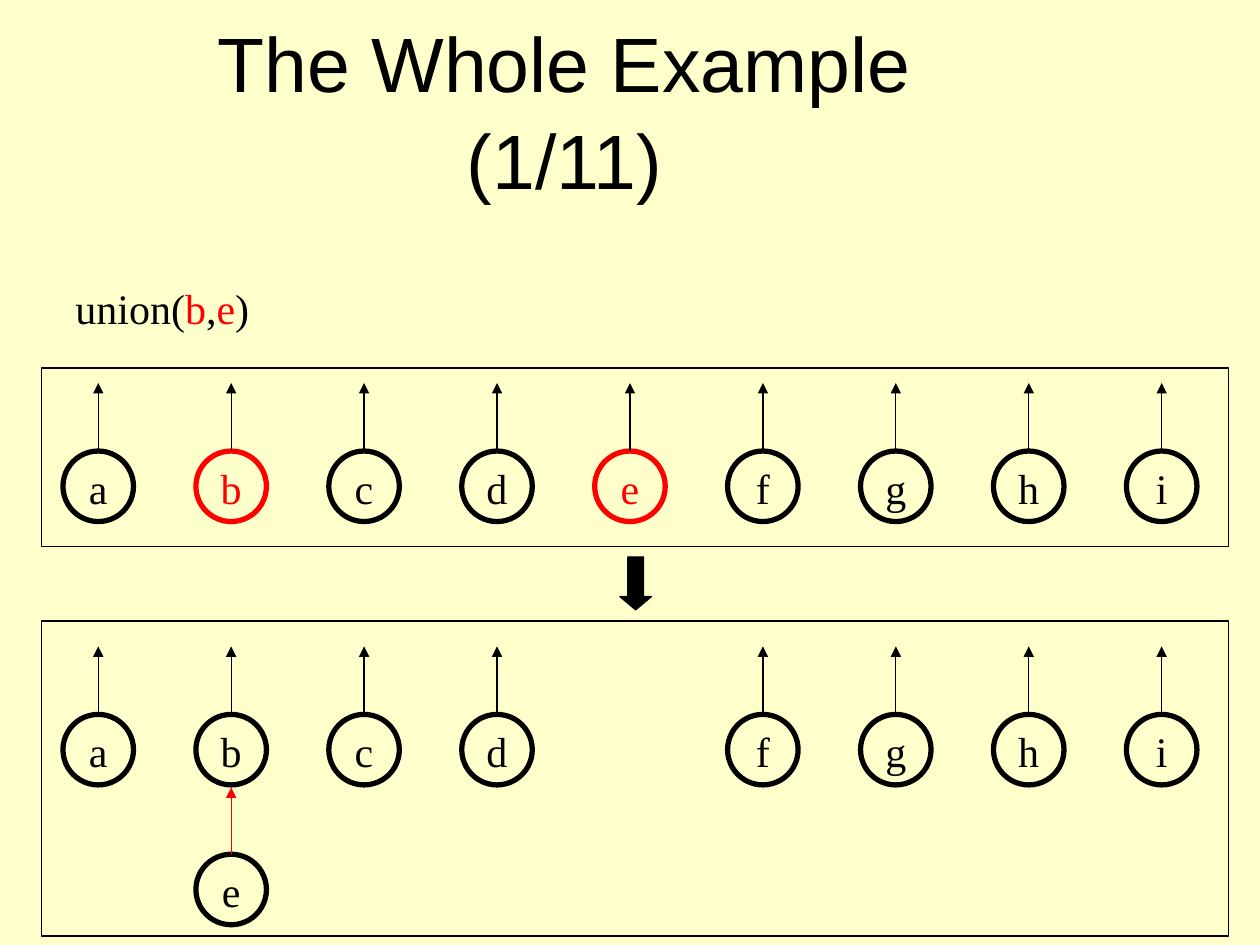
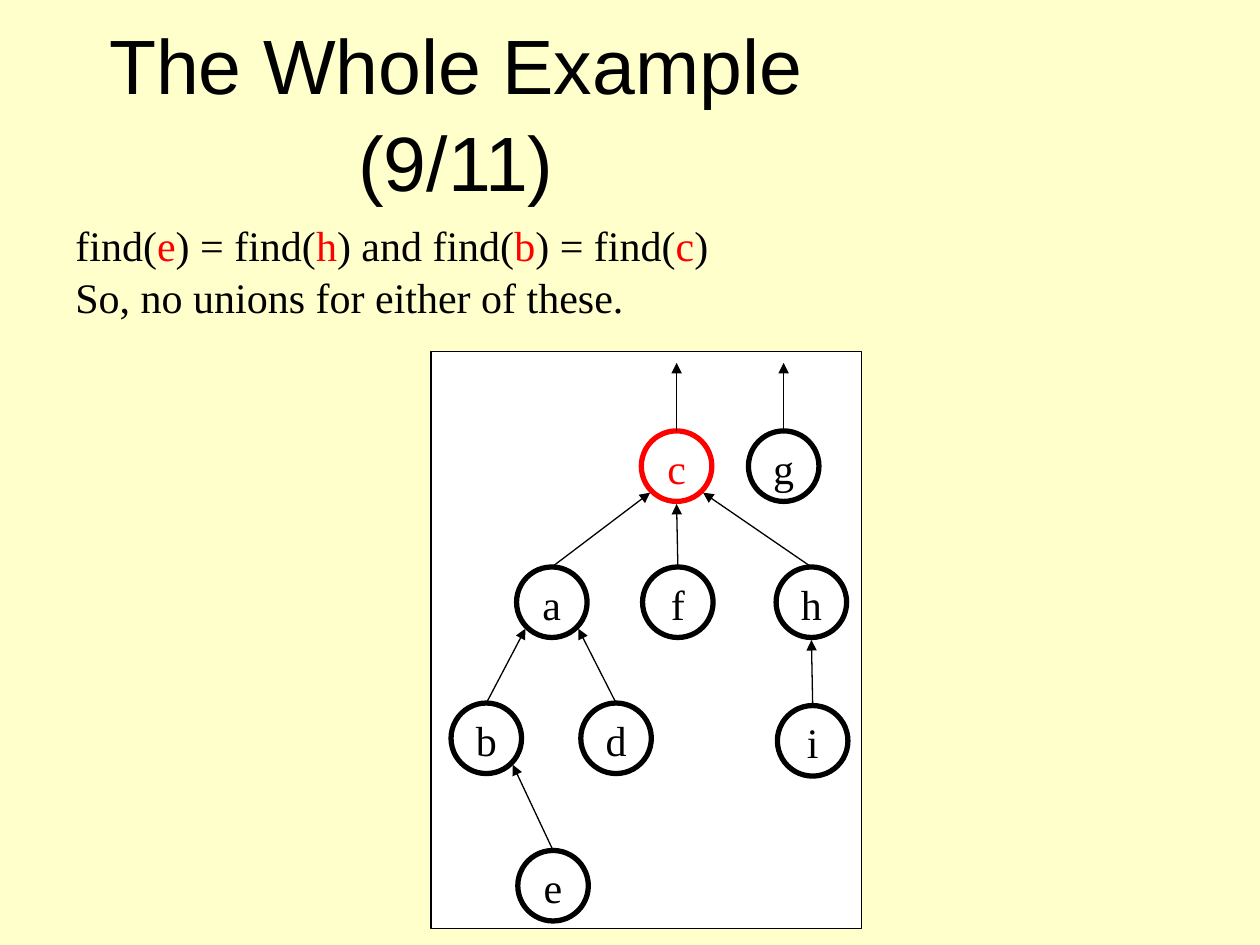
"""Build two slides that follow union and find on a forest of sets."""
from lxml import etree
from pptx import Presentation
from pptx import util as u
from pptx.dml import color
from pptx.enum import shapes, text
from pptx.oxml import ns

BLACK, RED, WHITE, CREAM = "000000", "FF0000", "FFFFFF", "FFFFCC"
TITLE_FONT, BODY_FONT = "Arial", "Times New Roman"
NODE_SIZE = 0.56
NODE_REACH = 0.3
DIAGONAL_REACH = 0.21
ROOT_ARROW_REACH = 0.82
REACH = {
    "bottom": (0, NODE_REACH),
    "bottom left": (-DIAGONAL_REACH, DIAGONAL_REACH),
    "bottom right": (DIAGONAL_REACH, DIAGONAL_REACH),
}


def rgb(value):
    """Turn a hex string into a colour."""
    return color.RGBColor.from_string(value)


def set_text(shape, content, size=24, font=BODY_FONT, ink=BLACK,
             align=text.PP_ALIGN.LEFT, anchor=text.MSO_ANCHOR.TOP, wrap=False):
    """Write lines of text, colouring the parts between bars red."""
    frame = shape.text_frame
    frame.word_wrap = wrap
    frame.vertical_anchor = anchor
    for index, line in enumerate(content.split("\n")):
        paragraph = frame.paragraphs[0] if index == 0 else frame.add_paragraph()
        paragraph.alignment = align
        paragraph.line_spacing = 1.05
        for part_index, part in enumerate(line.split("|")):
            run = paragraph.add_run()
            run.text = part
            run.font.size = u.Pt(size)
            run.font.name = font
            run.font.color.rgb = rgb(RED if part_index % 2 else ink)


def add_text_box(slide, content, left, top, width, height, **text_format):
    """Add a text box."""
    box = slide.shapes.add_textbox(*map(u.Inches, (left, top, width, height)))
    set_text(box, content, **text_format)
    return box


def add_figure(slide, kind, left, top, width, height, fill=None, line=BLACK, weight=0.75):
    """Add a preset shape with an outline and an optional fill."""
    shape = slide.shapes.add_shape(kind, *map(u.Inches, (left, top, width, height)))
    shape.shadow.inherit = False
    if fill:
        shape.fill.solid()
        shape.fill.fore_color.rgb = rgb(fill)
    else:
        shape.fill.background()
    shape.line.color.rgb = rgb(line)
    shape.line.width = u.Pt(weight)
    return shape


def add_node(slide, letter, x, y, ink=BLACK):
    """Add a lettered circle centred on a point."""
    node = add_figure(slide, shapes.MSO_SHAPE.OVAL, x - NODE_SIZE / 2, y - NODE_SIZE / 2,
                      NODE_SIZE, NODE_SIZE, line=ink, weight=3)
    set_text(node, letter, ink=ink, align=text.PP_ALIGN.CENTER,
             anchor=text.MSO_ANCHOR.MIDDLE)
    return node


def add_arrow(slide, node, start, end, ink=BLACK):
    """Add an arrow from the top of a node to a point."""
    arrow = slide.shapes.add_connector(shapes.MSO_CONNECTOR.STRAIGHT,
                                       *map(u.Inches, (*start, *end)))
    arrow.begin_connect(node, 0)
    arrow.line.color.rgb = rgb(ink)
    arrow.line.width = u.Pt(0.75)
    etree.SubElement(arrow.line._get_or_add_ln(), ns.qn("a:tailEnd"), type="triangle")
    etree.SubElement(arrow._element.spPr, ns.qn("a:effectLst"))


def add_root(slide, letter, x, y, ink=BLACK):
    """Add a node whose arrow points straight up to nothing."""
    node = add_node(slide, letter, x, y, ink)
    add_arrow(slide, node, (x, y - NODE_SIZE / 2), (x, y - ROOT_ARROW_REACH))


def add_child(slide, letter, x, y, parent, side, ink=BLACK):
    """Add a node whose arrow points to one side of its parent's centre."""
    node = add_node(slide, letter, x, y)
    end = tuple(centre + reach for centre, reach in zip(parent, REACH[side]))
    add_arrow(slide, node, (x, y - NODE_SIZE / 2), end, ink)


def add_roots(slide, letters, y, marked="", skipped=""):
    """Add an evenly spaced row of roots, leaving gaps for skipped letters."""
    for index, letter in enumerate(letters):
        if letter not in skipped:
            add_root(slide, letter, column_x(index), y, RED if letter in marked else BLACK)


def column_x(index):
    """Give the centre of a column in the row of nine sets."""
    return 0.78 + index * 8.44 / 8


def add_slide(presentation, step, title_left, title_top):
    """Add a cream slide with the shared title style."""
    slide = presentation.slides.add_slide(presentation.slide_layouts[6])
    slide.background.fill.solid()
    slide.background.fill.fore_color.rgb = rgb(CREAM)
    add_text_box(slide, f"The Whole Example ({step}/11)", title_left, title_top, 7.08, 1.25,
                 size=44, font=TITLE_FONT, align=text.PP_ALIGN.CENTER,
                 anchor=text.MSO_ANCHOR.MIDDLE, wrap=True)
    return slide


def build_union_slide(presentation):
    """Show the sets before and after the first union."""
    slide = add_slide(presentation, 1, 0.94, 0.23)
    add_text_box(slide, "union(|b|,|e|)", 0.5, 2.17, 1.58, 0.5)
    for top, height in ((2.92, 1.42), (4.93, 2.5)):
        add_figure(slide, shapes.MSO_SHAPE.RECTANGLE, 0.33, top, 9.42, height)
    add_roots(slide, "abcdefghi", 3.86, marked="be")
    arrow = add_figure(slide, shapes.MSO_SHAPE.DOWN_ARROW, 4.92, 4.42, 0.25, 0.42, fill=BLACK)
    arrow.adjustments[1] = 0.42
    after_y = 5.95
    add_roots(slide, "abcdefghi", after_y, skipped="e")
    b_x = column_x(1)
    add_child(slide, "e", b_x, 7.06, (b_x, after_y), "bottom", RED)


def build_find_slide(presentation):
    """Show the tree in which both finds meet the same root."""
    slide = add_slide(presentation, 9, 0.08, 0.25)
    add_text_box(slide, "find(|e|) = find(|h|) and find(|b|) = find(|c|)\n"
                 "So, no unions for either of these.", 0.5, 1.67, 5.22, 0.9)
    add_figure(slide, shapes.MSO_SHAPE.RECTANGLE, 3.42, 2.79, 3.42, 4.58, fill=WHITE)
    centres = {
        "c": (5.37, 3.7), "g": (6.22, 3.7),
        "a": (4.38, 4.78), "f": (5.38, 4.78), "h": (6.44, 4.78),
        "b": (3.86, 5.86), "d": (4.89, 5.86), "i": (6.45, 5.88),
        "e": (4.39, 7.03),
    }
    links = (
        ("a", "c", "bottom left"), ("f", "c", "bottom"), ("h", "c", "bottom right"),
        ("b", "a", "bottom left"), ("d", "a", "bottom right"),
        ("i", "h", "bottom"), ("e", "b", "bottom right"),
    )
    add_root(slide, "c", *centres["c"], RED)
    add_root(slide, "g", *centres["g"])
    for child, parent, side in links:
        add_child(slide, child, *centres[child], centres[parent], side)


def main():
    """Build and save the presentation."""
    presentation = Presentation()
    presentation.slide_width = u.Inches(10)
    presentation.slide_height = u.Inches(7.5)
    build_union_slide(presentation)
    build_find_slide(presentation)
    presentation.save("out.pptx")


if __name__ == "__main__":
    main()
